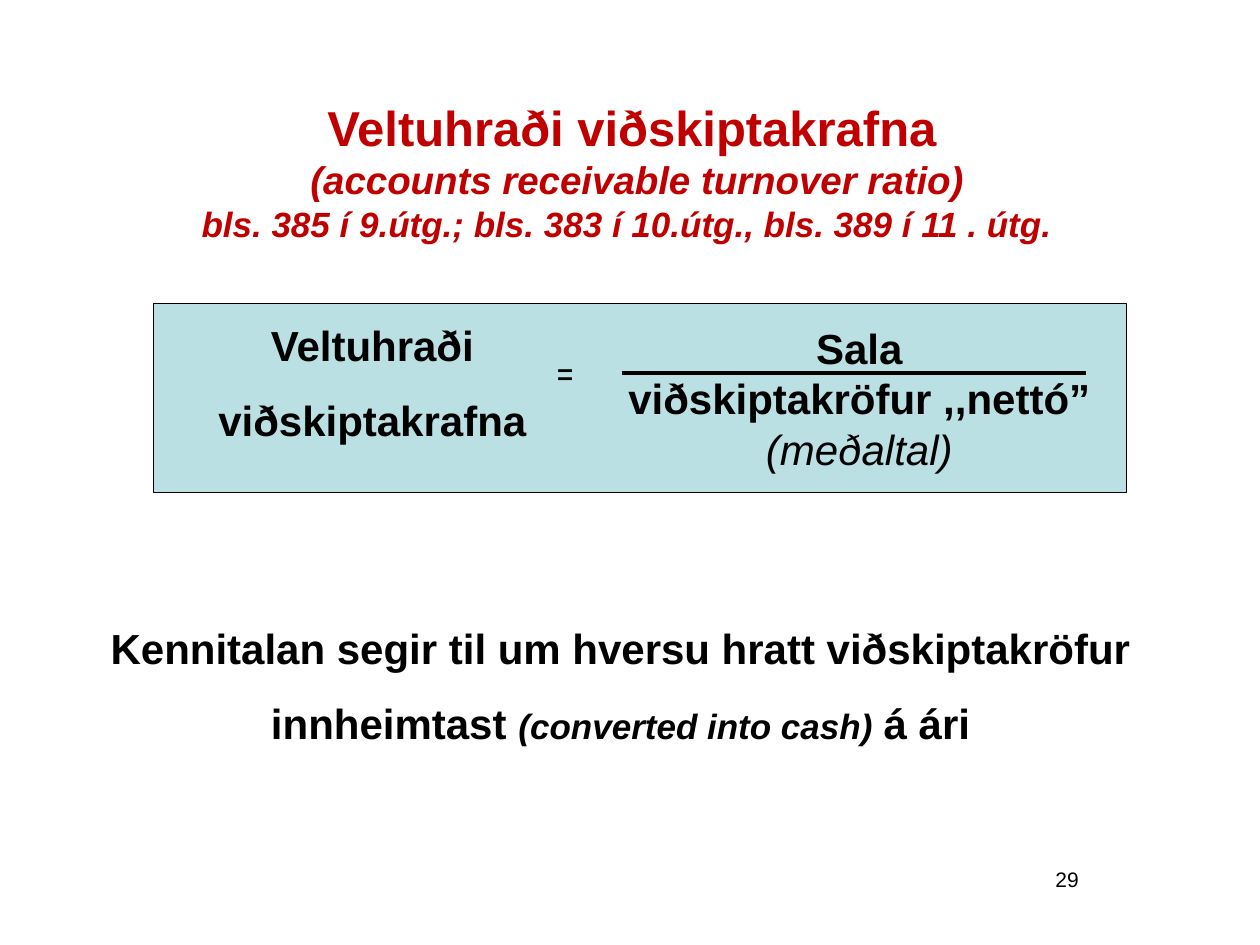
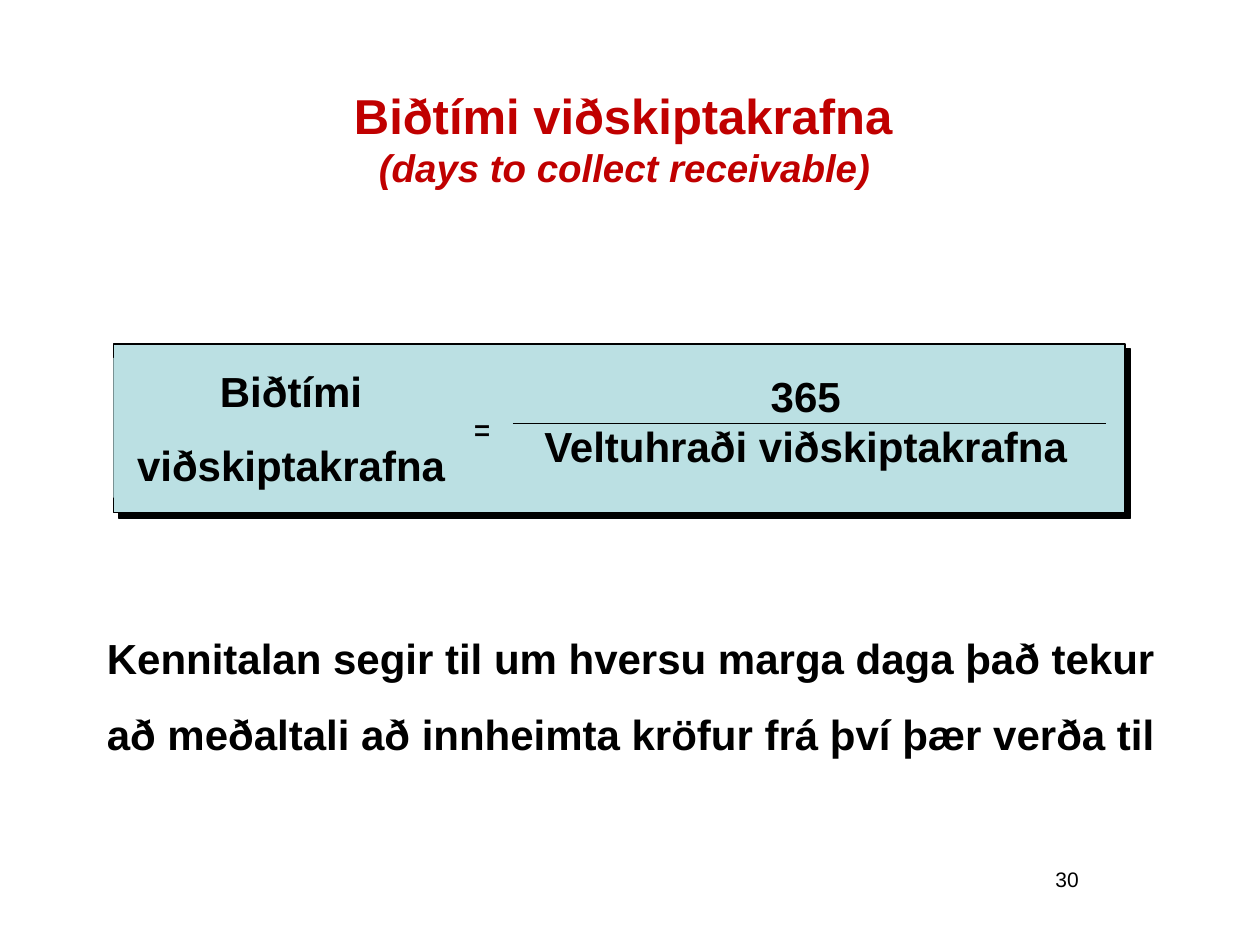
import copy
from dataclasses import dataclass

import lxml.etree
import pptx
import pptx.dml.color
import pptx.enum.shapes
import pptx.enum.text
import pptx.oxml.ns
import pptx.util

ALIGN = pptx.enum.text.PP_ALIGN
ANCHOR = pptx.enum.text.MSO_ANCHOR
RECT = pptx.enum.shapes.MSO_SHAPE.RECTANGLE
LINE = pptx.enum.shapes.MSO_CONNECTOR.STRAIGHT
qn = pptx.oxml.ns.qn


@dataclass(frozen=True)
class Look:
    size: float
    color: str = "000000"
    bold: bool = True
    slant: bool = False
    font: str = "Arial"


@dataclass(frozen=True)
class Theme:
    panel: str = "BBE0E3"
    ink: str = "000000"
    thin: float = 0.75
    thick: float = 2.25
    gap: float = 13.8
    head: Look = Look(28, "C00000")
    space: Look = Look(22, "C00000")
    sub: Look = Look(22, "C00000", slant=True)
    ref: Look = Look(20, "C00000", slant=True)
    main: Look = Look(24)
    light: Look = Look(24, bold=False, slant=True)
    aside: Look = Look(20, slant=True)
    blank: Look = Look(22, slant=True)
    equal: Look = Look(24, bold=False, font="Karla")
    num: Look = Look(12, bold=False)


THEME = Theme()
COLS, ROWS = 100, 75
CELL = pptx.util.Inches(0.1)


def cells(*counts):
    return [round(n * CELL) for n in counts]


def inside(box, part):
    """Turn a place relative to box into one on the slide."""
    return (box[0] + part[0], box[1] + part[1], part[2], part[3])


def rgb(code):
    return pptx.dml.color.RGBColor.from_string(code)


def style(font, look):
    font.size = pptx.util.Pt(look.size)
    font.name = look.font
    font.bold = look.bold
    font.italic = look.slant
    font.color.rgb = rgb(look.color)


def fill_par(par, parts):
    """Write (text, look) parts; each newline in a text is a line break."""
    for text, look in parts:
        for i, piece in enumerate(text.split("\n")):
            if i:
                par.add_line_break()
                # a break takes the type of the run before it
                par._p[-1].append(copy.deepcopy(run._r.rPr))
            if piece:
                run = par.add_run()
                run.text = piece
                style(run.font, look)
    if par._p[-1].tag == qn("a:br"):
        end = copy.deepcopy(run._r.rPr)
        end.tag = qn("a:endParaRPr")
        par._p.append(end)


def write(shape, pars, align=ALIGN.CENTER, anchor=ANCHOR.TOP, lead=None):
    frame = shape.text_frame
    frame.word_wrap = True
    frame.auto_size = pptx.enum.text.MSO_AUTO_SIZE.NONE
    frame.vertical_anchor = anchor
    for i, parts in enumerate(pars):
        par = frame.add_paragraph() if i else frame.paragraphs[0]
        par.alignment = align
        if lead:
            par.line_spacing = lead
        if i:
            par.space_before = pptx.util.Pt(THEME.gap)
        fill_par(par, parts)


def add_text(shapes, box, pars, **opts):
    write(shapes.add_textbox(*cells(*box)), pars, **opts)


def add_rect(shapes, box, line=None):
    rect = shapes.add_shape(RECT, *cells(*box))
    rect.shadow.inherit = False
    rect.fill.solid()
    rect.fill.fore_color.rgb = rgb(THEME.panel)
    if line:
        rect.line.color.rgb = rgb(THEME.ink)
        rect.line.width = pptx.util.Pt(line)
    else:
        rect.line.fill.background()
    return rect


def add_shade(rect):
    """Give rect a hard shadow down and to the right."""
    glow = rect._element.spPr.find(qn("a:effectLst"))
    shade = lxml.etree.SubElement(glow, qn("a:outerShdw"), dist="53340",
                                  dir="2700000", algn="ctr", rotWithShape="0")
    lxml.etree.SubElement(shade, qn("a:srgbClr"), val=THEME.ink)


def add_bar(shapes, box, width):
    left, top, wide, _ = box
    bar = shapes.add_connector(LINE, *cells(left, top, left + wide, top))
    bar.line.color.rgb = rgb(THEME.ink)
    bar.line.width = pptx.util.Pt(width)
    lxml.etree.SubElement(bar._element.spPr, qn("a:effectLst"))


def add_ratio(slide, box, terms, bar, weight, solid=False):
    """Draw a panel with term = fraction; solid gives filled parts and a shadow.

    terms holds (place in box, paragraphs, anchor, alignment) for each part.
    """
    group = slide.shapes.add_group_shape().shapes
    panel = add_rect(group, box, THEME.thin)
    if solid:
        add_shade(panel)
    for part, pars, anchor, align in terms:
        place = inside(box, part)
        if solid:
            write(add_rect(group, place), pars, align=align, anchor=anchor)
        else:
            add_text(group, place, pars, align=align, anchor=anchor)
    add_bar(group, inside(box, bar), weight)


def add_base(deck, box, title, num):
    """Add a slide with its title and number."""
    slide = deck.slides.add_slide(deck.slide_layouts[5])
    head = slide.shapes.title
    head.left, head.top, head.width, head.height = cells(*box)
    write(head, [title], anchor=ANCHOR.MIDDLE)
    add_text(slide.shapes, (65.8, 68.3, 20.8, 5), [[(num, THEME.num)]],
             align=ALIGN.RIGHT)
    return slide


def add_speed(deck):
    t = THEME
    slide = add_base(deck, (7.5, 7, 85.3, 13.1), [
        ("Veltuhraði viðskiptakrafna\n", t.head),
        (" ", t.space),
        ("(accounts receivable turnover ratio)\n", t.sub),
        ("bls. 385 í 9.útg.; bls. 383 í 10.útg., bls. 389 í 11 . útg. ", t.ref),
    ], "29")
    add_ratio(slide, (12.2, 24.1, 77.2, 15), [
        ((3.9, 0.8, 26.9, 11.1),
         [[("Veltuhraði", t.main)], [("viðskiptakrafna", t.main)]],
         ANCHOR.TOP, ALIGN.CENTER),
        ((35.6, 1, 40.8, 13.1),
         [[("Sala\nviðskiptakröfur ,,nettó” ", t.main), ("(meðaltal)", t.light)]],
         ANCHOR.TOP, ALIGN.CENTER),
        ((30.8, 2.7, 5.6, 5), [[("=", t.equal)]], ANCHOR.TOP, ALIGN.LEFT),
    ], (37.2, 5.5, 36.8, 0), t.thick)
    add_text(slide.shapes, (6.7, 46.9, 85.1, 13.1), [[
        ("Kennitalan segir til um hversu hratt viðskiptakröfur innheimtast ", t.main),
        ("(converted into cash)", t.aside),
        (" ", t.blank),
        ("á ári", t.main),
    ]], lead=1.5)


def add_wait(deck):
    t = THEME
    slide = add_base(deck, (5.1, 7, 89.8, 11.6), [
        ("Biðtími viðskiptakrafna \n", t.head),
        ("(days to collect receivable) \n", t.sub),
    ], "30")
    add_text(slide.shapes, (7.5, 47.7, 86.6, 13.1), [[
        ("Kennitalan segir til um hversu marga daga það tekur að meðaltali "
         "að innheimta kröfur frá því þær verða til", t.main),
    ]], align=ALIGN.LEFT, lead=1.5)
    add_ratio(slide, (9, 27.3, 80.3, 13.4), [
        ((0, 1.1, 28.2, 11.1),
         [[("Biðtími", t.main)], [("viðskiptakrafna", t.main)]],
         ANCHOR.MIDDLE, ALIGN.CENTER),
        ((27.4, 3.9, 2.6, 5.1), [[("=", t.equal)]], ANCHOR.TOP, ALIGN.LEFT),
        ((30.8, 1.5, 48.3, 9.1), [[("365\nVeltuhraði viðskiptakrafna", t.main)]],
         ANCHOR.BOTTOM, ALIGN.CENTER),
    ], (31.7, 6.3, 47.1, 0), t.thin, solid=True)


def main():
    deck = pptx.Presentation()
    deck.slide_width, deck.slide_height = cells(COLS, ROWS)
    add_speed(deck)
    add_wait(deck)
    deck.save("out.pptx")


if __name__ == "__main__":
    main()
